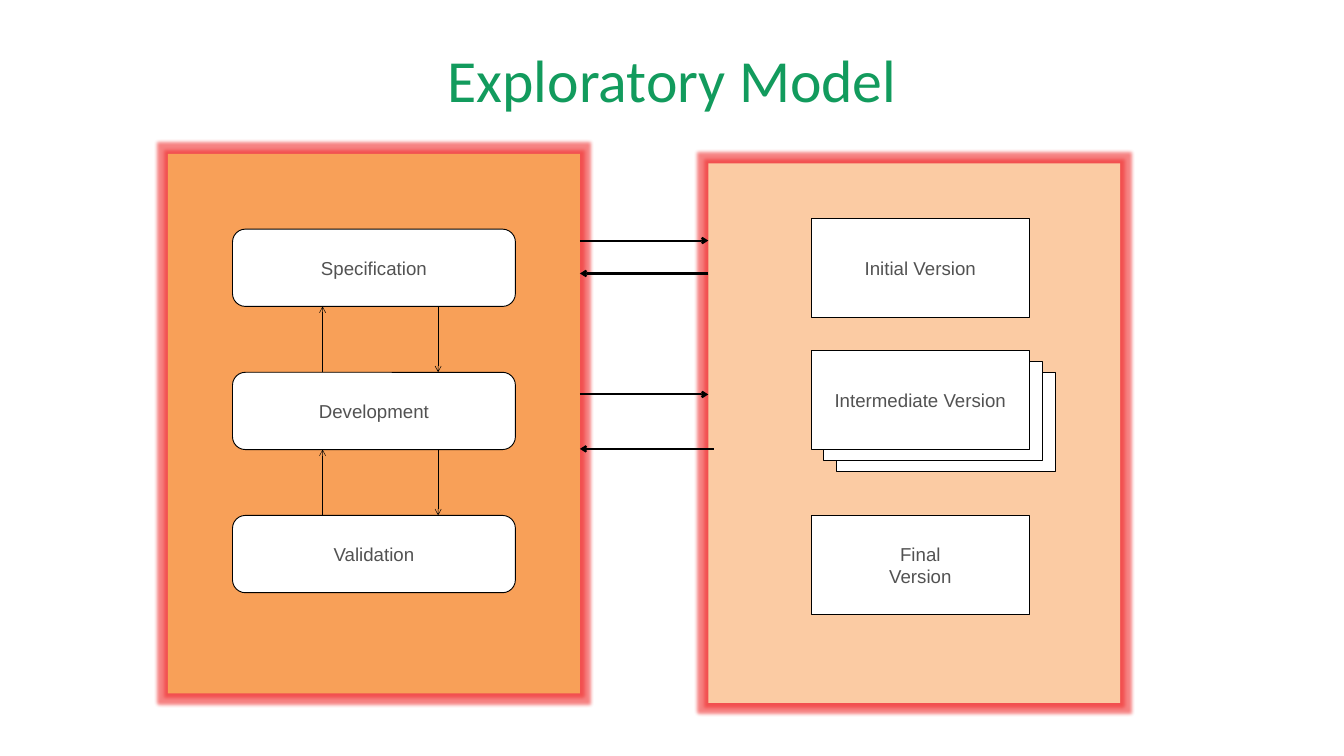
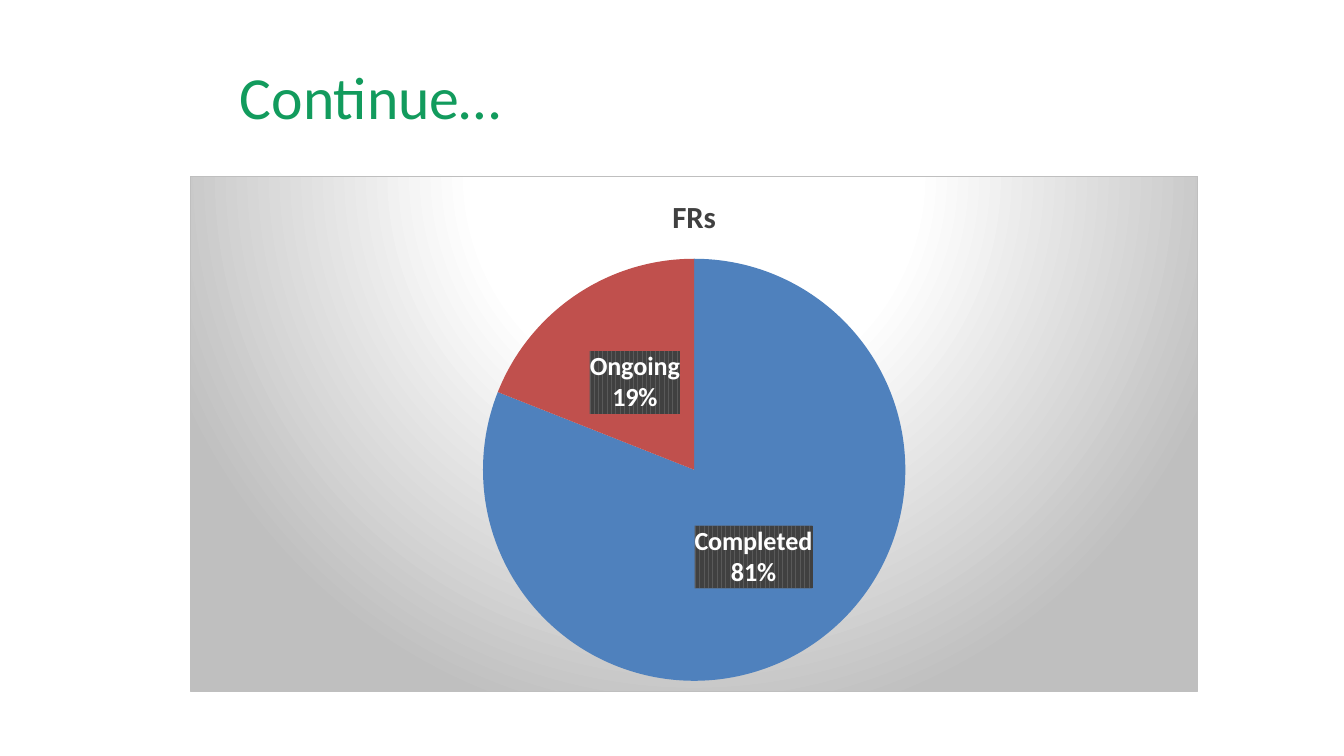
from dataclasses import dataclass

from lxml import etree
from pptx import Presentation
from pptx.chart.data import CategoryChartData
from pptx.dml.color import RGBColor
from pptx.enum.chart import XL_CHART_TYPE, XL_LABEL_POSITION
from pptx.enum.shapes import MSO_CONNECTOR, MSO_SHAPE
from pptx.enum.text import MSO_ANCHOR, PP_ALIGN
from pptx.oxml import parse_xml
from pptx.oxml.ns import nsdecls, qn
from pptx.util import Inches, Pt

PIE = XL_CHART_TYPE.PIE
MID_LABEL = XL_LABEL_POSITION.CENTER
LINE = MSO_CONNECTOR.STRAIGHT
RECT = MSO_SHAPE.RECTANGLE
ROUND = MSO_SHAPE.FLOWCHART_ALTERNATE_PROCESS
MIDDLE, TOP = MSO_ANCHOR.MIDDLE, MSO_ANCHOR.TOP
CENTER = PP_ALIGN.CENTER


@dataclass(frozen=True)
class Theme:
    """Colours, fonts and type sizes of the deck."""
    green: str = "129B5D"
    orange: str = "F8A058"
    peach: str = "FBCBA3"
    glow: str = "F03030"
    white: str = "FFFFFF"
    black: str = "000000"
    gray: str = "525252"
    dark: str = "404040"
    stripe: str = "595959"
    silver: str = "BFBFBF"
    blue: str = "4F81BD"
    red: str = "C0504D"
    head: str = "Calibri"
    body: str = "Arial"
    title: int = 64
    lead: float = 89.6
    box: int = 20
    label: int = 28
    name: int = 33


THEME = Theme()


def rgb(code):
    """Turn a hex code into a colour."""
    return RGBColor.from_string(code)


def style(font, size, color, face, bold=False):
    """Set the look of a font."""
    font.size, font.name, font.bold = Pt(size), face, bold
    font.color.rgb = rgb(color)


def write(shape, text, size=THEME.box, color=THEME.gray, face=THEME.body,
          anchor=MIDDLE, lead=None):
    """Write centred text into a shape, one paragraph a line."""
    frame = shape.text_frame
    frame.word_wrap = True
    frame.vertical_anchor = anchor
    frame.text = text
    for para in frame.paragraphs:
        para.alignment = CENTER
        if lead:
            para.line_spacing = Pt(lead)
        for run in para.runs:
            style(run.font, size, color, face)


def title(slide, text, left, top):
    """Add the slide title."""
    box = slide.shapes.add_textbox(
        Inches(left), Inches(top), Inches(14.02), Inches(1.2))
    frame = box.text_frame
    frame.margin_left = frame.margin_right = 0
    frame.margin_top = frame.margin_bottom = 0
    write(box, text, size=THEME.title, color=THEME.green, face=THEME.head,
          anchor=TOP, lead=THEME.lead)


def shape(slide, kind, area, fill):
    """Add a plain filled shape without a shadow."""
    item = slide.shapes.add_shape(kind, *map(Inches, area))
    item.shadow.inherit = False
    item.fill.solid()
    item.fill.fore_color.rgb = rgb(fill)
    return item


def panel(slide, left, top, fill):
    """Add a large panel with a red glow."""
    item = shape(slide, RECT, (left, top, 6.13, 8.03), fill)
    item.line.fill.background()
    effect = item._element.spPr.find(qn("a:effectLst"))
    effect.append(parse_xml(
        f'<a:glow {nsdecls("a")} rad="101600"><a:srgbClr val="{THEME.glow}">'
        '<a:alpha val="60000"/></a:srgbClr></a:glow>'))


def box(slide, kind, area, text=""):
    """Add a white box with a thin black line."""
    item = shape(slide, kind, area, THEME.white)
    item.line.color.rgb = rgb(THEME.black)
    item.line.width = Pt(1)
    if text:
        write(item, text)


def arrow(slide, start, end, width):
    """Draw a black arrow from start to end."""
    item = slide.shapes.add_connector(LINE, *map(Inches, (*start, *end)))
    item.line.color.rgb = rgb(THEME.black)
    item.line.width = Pt(width)
    item.line._get_or_add_ln().append(
        parse_xml(f'<a:tailEnd {nsdecls("a")} type="arrow"/>'))
    etree.SubElement(item._element.spPr, qn("a:effectLst"))


def model(slide):
    """Build the slide of the exploratory model."""
    title(slide, "Exploratory Model", 2.99, 0.46)
    panel(slide, 10.54, 2.43, THEME.peach)
    panel(slide, 2.5, 2.29, THEME.orange)

    left, wide, high = 12.07, 3.25, 1.47
    box(slide, RECT, (left, 3.25, wide, high), "Initial Version")
    box(slide, RECT, (left, 7.67, wide, high), "Final\nVersion")
    for step, text in ((2, ""), (1, ""), (0, "Intermediate Version")):
        area = (left + 0.19 * step, 5.22 + 0.16 * step, wide, high)
        box(slide, RECT, area, text)

    first, pitch, tall = 3.41, 2.13, 1.15
    for row, text in enumerate(("Specification", "Development", "Validation")):
        top = first + pitch * row
        box(slide, ROUND, (3.46, top, 4.21, tall), text)
        if row:
            above = top - pitch + tall
            arrow(slide, (6.52, above), (6.52, top), 0.5)
            arrow(slide, (4.8, top), (4.8, above), 0.5)

    near, far = 8.63, 10.54
    for there, back, edge in ((3.58, 4.07, far), (5.87, 6.68, 10.62)):
        arrow(slide, (near, there), (far, there), 2.25)
        arrow(slide, (edge, back), (near, back), 2.25)


def back(chart):
    """Give the chart a radial gradient and a thin border."""
    stops = ((0, THEME.white), (39, THEME.white), (100, THEME.silver))
    marks = "".join(f'<a:gs pos="{pos}000"><a:srgbClr val="{code}"/></a:gs>'
                    for pos, code in stops)
    chart._chartSpace.find(qn("c:chart")).addnext(parse_xml(
        f'<c:spPr {nsdecls("c", "a")}><a:gradFill><a:gsLst>{marks}</a:gsLst>'
        '<a:path path="circle"><a:fillToRect l="50000" t="-80000" r="50000" '
        'b="180000"/></a:path></a:gradFill><a:ln w="9525"><a:solidFill>'
        f'<a:srgbClr val="{THEME.silver}"/></a:solidFill></a:ln></c:spPr>'))


def place(chart, **spots):
    """Fix the plot area as shares of the chart."""
    area = chart._chartSpace.find(f'{qn("c:chart")}/{qn("c:plotArea")}')
    for old in area.findall(qn("c:layout")):
        area.remove(old)
    parts = "".join(f'<c:{key} val="{val}"/>' for key, val in spots.items())
    area.insert(0, parse_xml(
        f'<c:layout {nsdecls("c")}><c:manualLayout>'
        '<c:layoutTarget val="inner"/><c:xMode val="edge"/>'
        f'<c:yMode val="edge"/>{parts}</c:manualLayout></c:layout>'))


def tags(plot):
    """Show bold names and shares on striped dark tags."""
    plot.has_data_labels = True
    labels = plot.data_labels
    style(labels.font, THEME.label, THEME.white, THEME.head, bold=True)
    labels.show_percentage = labels.show_category_name = True
    labels.show_value = False
    labels.position = MID_LABEL
    labels._element.find(qn("c:txPr")).addprevious(parse_xml(
        f'<c:spPr {nsdecls("c", "a")}><a:pattFill prst="narVert"><a:fgClr>'
        f'<a:srgbClr val="{THEME.dark}"/></a:fgClr><a:bgClr>'
        f'<a:srgbClr val="{THEME.stripe}"/></a:bgClr></a:pattFill></c:spPr>'))


def pie(slide, name, shares, colors, area):
    """Add a pie chart of the given shares."""
    data = CategoryChartData()
    data.categories = list(shares)
    data.add_series("Series 1", list(shares.values()))
    chart = slide.shapes.add_chart(PIE, *map(Inches, area), data).chart
    style(chart.font, THEME.label, THEME.black, THEME.head)
    chart.has_legend = False
    chart.has_title = True
    frame = chart.chart_title.text_frame
    frame.text = name
    style(frame.paragraphs[0].runs[0].font, THEME.name, THEME.dark,
          THEME.head, bold=True)
    plot = chart.plots[0]
    plot.vary_by_categories = True
    for spot, code in enumerate(colors):
        fill = plot.series[0].points[spot].format.fill
        fill.solid()
        fill.fore_color.rgb = rgb(code)
    tags(plot)
    back(chart)
    place(chart, x=0.29, y=0.16, w=0.42, h=0.82)


def status(slide):
    """Build the slide of finished and open work."""
    title(slide, "Continue…", -1.5, 0.71)
    pie(slide, "FRs", {"Completed": 81, "Ongoing": 19},
        (THEME.blue, THEME.red), (2.83, 2.62, 15, 7.67))


def main():
    """Build and save the deck."""
    deck = Presentation()
    deck.slide_width, deck.slide_height = Inches(20), Inches(11.25)
    for build in (model, status):
        build(deck.slides.add_slide(deck.slide_layouts[6]))
    deck.save("out.pptx")


if __name__ == "__main__":
    main()
